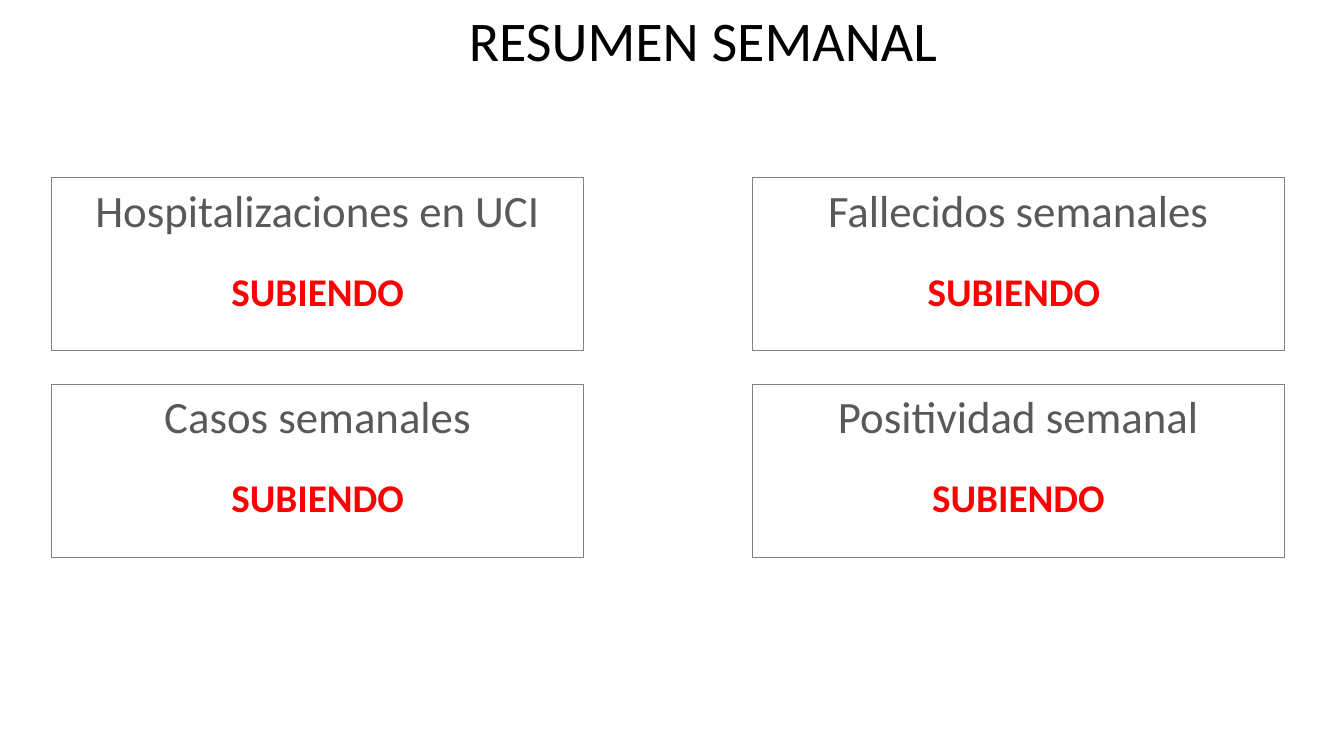
from dataclasses import dataclass
from pptx import Presentation
from pptx.dml.color import RGBColor as RGB
from pptx.enum.shapes import MSO_SHAPE as Shape
from pptx.enum.text import MSO_ANCHOR as Anchor, MSO_AUTO_SIZE as Fit, PP_ALIGN as Align
from pptx.util import Inches, Pt


@dataclass(frozen=True)
class Theme:
    face: str = "Calibri"
    ink: RGB = RGB(0, 0, 0)
    label: RGB = RGB(0x59, 0x59, 0x59)
    trend: RGB = RGB(0xFF, 0, 0)
    edge: RGB = RGB(0x80, 0x80, 0x80)
    title_size: int = 40
    label_size: int = 32
    trend_size: int = 28
    gap: int = 22


THEME = Theme()
LEFT, TOP = 0.51, 1.76
WIDTH, HEIGHT = 5.28, 1.72
COL_STEP, ROW_STEP = 6.95, 2.05
CARDS = [
    [("Hospitalizaciones en UCI", "SUBIENDO"), ("Fallecidos semanales", "SUBIENDO ")],
    [("Casos semanales", "SUBIENDO"), ("Positividad semanal", "SUBIENDO")],
]


def style(para, size, color, align, bold=False):
    para.alignment = align
    for run in para.runs:
        font = run.font
        font.name = THEME.face
        font.size = Pt(size)
        font.bold = bold
        font.color.rgb = color


def add_title(slide, text):
    title = slide.shapes.title
    title.left, title.top = Inches(4.55), Inches(0)
    title.width, title.height = Inches(4.89), Inches(0.77)
    frame = title.text_frame
    frame.text = text
    frame.word_wrap = False
    frame.auto_size = Fit.SHAPE_TO_FIT_TEXT
    frame.vertical_anchor = Anchor.TOP
    style(frame.paragraphs[0], THEME.title_size, THEME.ink, Align.LEFT)


def add_card(slide, left, top, label, trend):
    card = slide.shapes.add_shape(
        Shape.RECTANGLE, Inches(left), Inches(top), Inches(WIDTH), Inches(HEIGHT)
    )
    card.shadow.inherit = False
    card.fill.background()
    card.line.color.rgb = THEME.edge
    card.line.width = Pt(0.75)
    frame = card.text_frame
    frame.word_wrap = True
    frame.vertical_anchor = Anchor.TOP
    head = frame.paragraphs[0]
    head.text = label
    style(head, THEME.label_size, THEME.label, Align.CENTER)
    state = frame.add_paragraph()
    state.text = trend
    state.space_before = Pt(THEME.gap)
    style(state, THEME.trend_size, THEME.trend, Align.CENTER, True)


def main():
    deck = Presentation()
    deck.slide_width, deck.slide_height = Inches(13.33), Inches(7.5)
    slide = deck.slides.add_slide(deck.slide_layouts.get_by_name("Title Only"))
    add_title(slide, "RESUMEN SEMANAL")
    for row, cards in enumerate(CARDS):
        for col, (label, trend) in enumerate(cards):
            add_card(slide, LEFT + col * COL_STEP, TOP + row * ROW_STEP, label, trend)
    deck.save("out.pptx")


if __name__ == "__main__":
    main()
